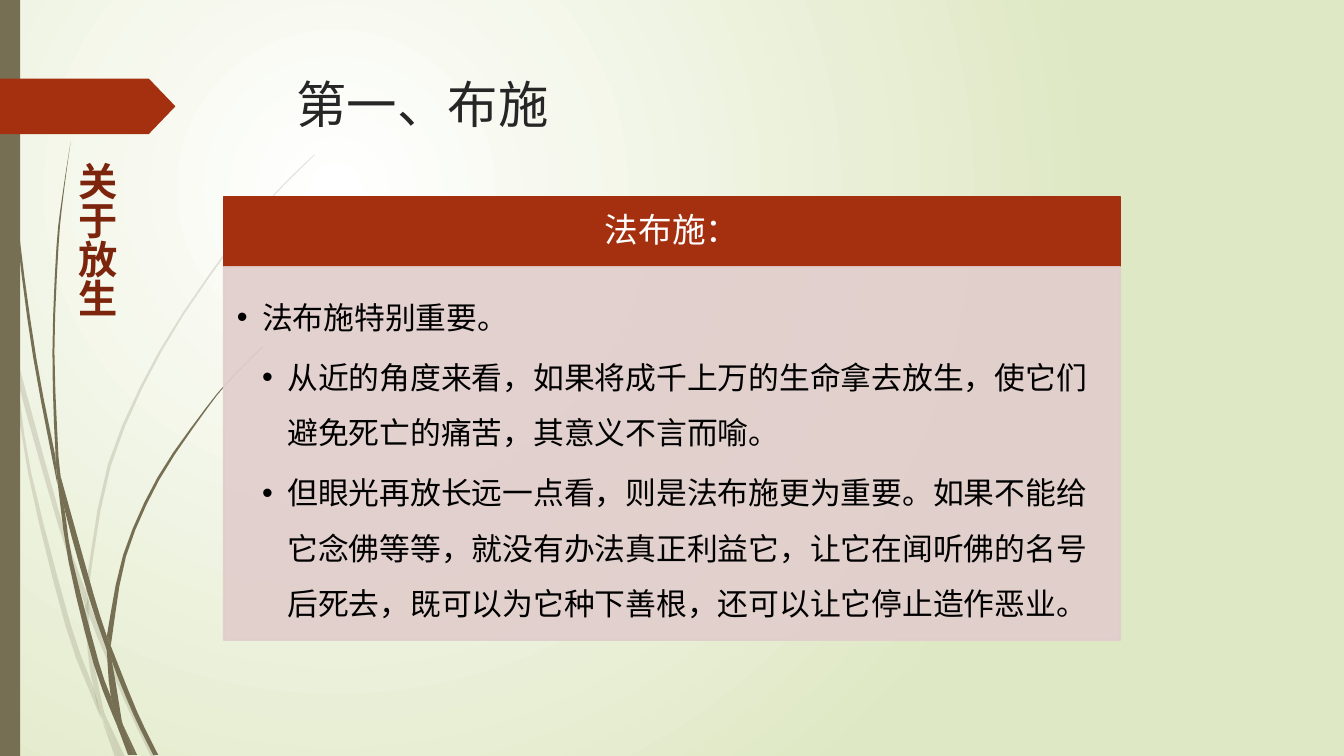
import pptx
import pptx.util
import pptx.dml.color
import pptx.enum.shapes
import pptx.enum.text
import pptx.oxml
import pptx.oxml.ns
from lxml import etree
from pptx.util import Inches

FONT = "League Spartan"
COLORS = {
    "white": "FFFFFF", "black": "000000", "pale_green": "DFE8C4",
    "olive": "766F54", "rust": "A53010", "dark_rust": "7C240C",
    "pink": "E1CDCC", "title": "262626",
}
SHAPES = pptx.enum.shapes.MSO_SHAPE
ALIGN = pptx.enum.text.PP_ALIGN
ANCHOR = pptx.enum.text.MSO_ANCHOR

# Each blade section is an outline: one edge, then the edge that leads back.
FAINT_BLADES = [
    ([(.11, 3.5), (.09, 3.22), (0, 2.82)], [(0, 2.99), (.1, 3.44), (.11, 3.5)]),
    ([(.14, 3.45), (.17, 3.76), (.58, 5.22), (.84, 5.99)], [(.85, 5.86), (.62, 5.2), (.14, 3.45)]),
    ([(.88, 5.96), (.88, 6.1), (1.23, 6.94), (1.5, 7.51)], [(1.55, 7.51), (1.27, 6.92), (.92, 6.07)]),
    ([(1.05, 7.11), (1.19, 7.51)], [(1.24, 7.51), (1.05, 7.11)]),
    ([(.11, 3.5), (.28, 4.7), (.65, 6.21), (.92, 6.93), (1.01, 7.14)],
     [(.99, 7.07), (.93, 6.83), (.7, 6.19), (.31, 4.69), (.17, 3.76), (.11, 3.5)]),
    ([(.84, 5.99), (.87, 6.46), (.93, 6.83), (1.05, 7.11)],
     [(1.03, 7.06), (.91, 6.46), (.88, 6.1), (.84, 5.99)]),
    ([(3.12, 1.53), (2.89, 1.75), (2.68, 1.97), (2.28, 2.44), (1.58, 3.48), (1.07, 4.61), (.85, 5.84)],
     [(.88, 5.96), (.88, 5.84), (1.1, 4.62), (1.6, 3.49), (2.29, 2.45), (2.68, 1.98), (3.12, 1.54)]),
    ([(1.01, 7.14), (1.14, 7.51)], [(1.19, 7.51), (1.01, 7.14)]),
    ([(.85, 5.86), (.84, 5.99), (.88, 6.1)], [(.88, 5.96), (.85, 5.86)]),
    ([(.93, 6.83), (.99, 7.07), (1.19, 7.51)], [(1.05, 7.11), (.96, 6.92), (.93, 6.83)]),
]
DARK_BLADES = [
    ([(.03, 0), (.04, .48), (.07, 1.1), (.17, 2.33), (.33, 3.55), (.57, 4.81)],
     [(.55, 4.53), (.36, 3.55), (.19, 2.32), (.08, 1.09), (.05, .48), (.04, 0)]),
    ([(.6, 4.72), (.64, 5.05), (.88, 5.92), (1.06, 6.45)], [(1.06, 6.31), (.93, 5.9), (.6, 4.72)]),
    ([(1.1, 6.41), (1.11, 6.56), (1.32, 7.08), (1.52, 7.49)], [(1.57, 7.49), (1.36, 7.06), (1.1, 6.41)]),
    ([(.57, 4.77), (.68, 5.57), (.93, 6.59), (1.17, 7.22)],
     [(1.1, 6.91), (.98, 6.57), (.72, 5.56), (.64, 5.05), (.57, 4.77)]),
    ([(.7, 1.41), (.62, 1.93), (.56, 2.45), (.52, 3.49), (.55, 4.49), (.6, 4.72)],
     [(.58, 4.53), (.54, 3.49), (.58, 2.45), (.63, 1.93), (.7, 1.41)]),
    ([(1.22, 7.19), (1.33, 7.49)], [(1.36, 7.49), (1.22, 7.19)]),
    ([(.55, 4.49), (.57, 4.77), (.64, 5.05)], [(.6, 4.72), (.55, 4.49)]),
    ([(2.6, 3.44), (2.31, 3.73), (2.04, 4.05), (1.56, 4.74), (1.22, 5.51), (1.06, 6.31)],
     [(1.1, 6.41), (1.11, 6.33), (1.25, 5.52), (1.58, 4.76), (2.05, 4.06), (2.31, 3.74), (2.61, 3.44)]),
    ([(1.17, 7.22), (1.27, 7.49)], [(1.31, 7.49), (1.17, 7.22)]),
    ([(1.06, 6.45), (1.1, 6.91), (1.22, 7.19)], [(1.21, 7.16), (1.11, 6.56), (1.06, 6.45)]),
    ([(1.06, 6.31), (1.06, 6.45), (1.11, 6.56)], [(1.1, 6.41), (1.06, 6.31)]),
    ([(1.1, 6.91), (1.17, 7.22), (1.3, 7.49)], [(1.33, 7.49), (1.22, 7.19), (1.1, 6.91)]),
]
TEACHINGS = [
    (1, "法布施特别重要。"),
    (2, "从近的角度来看，如果将成千上万的生命拿去放生，使它们避免死亡的痛苦，其意义不言而喻。"),
    (2, "但眼光再放长远一点看，则是法布施更为重要。如果不能给它念佛等等，就没有办法真正利益它，"
        "让它在闻听佛的名号后死去，既可以为它种下善根，还可以让它停止造作恶业。"),
]


def rgb(color):
    return pptx.dml.color.RGBColor.from_string(COLORS[color])


def add_child(parent, tag, **attributes):
    return etree.SubElement(parent, pptx.oxml.ns.qn(tag), attributes)


def paint(shape, fill, line=None, opacity=100):
    shape.shadow.inherit = False
    shape.fill.solid()
    shape.fill.fore_color.rgb = rgb(fill)
    if line:
        shape.line.color.rgb = rgb(line)
        shape.line.width = pptx.util.Pt(1.25)
    else:
        shape.line.fill.background()
    if opacity < 100:
        for color in shape.element.spPr.iter(pptx.oxml.ns.qn("a:srgbClr")):
            add_child(color, "a:alpha", val=str(opacity * 1000))


def add_block(slide, kind, left, top, width, height, fill, **paint_options):
    block = slide.shapes.add_shape(kind, *map(Inches, (left, top, width, height)))
    paint(block, fill, **paint_options)
    return block


def smooth_curve(knots, steps=3):
    """Sample a Catmull-Rom curve through the knots."""
    if len(knots) == 2:
        return knots
    padded = [knots[0], *knots, knots[-1]]
    samples = [knots[0]]
    for a, b, c, d in zip(padded, padded[1:], padded[2:], padded[3:]):
        for t in (step / steps for step in range(1, steps + 1)):
            samples.append(tuple(
                (2 * q + (r - p) * t + (2 * p - 5 * q + 4 * r - s) * t ** 2
                 + (3 * q - p - 3 * r + s) * t ** 3) / 2
                for p, q, r, s in zip(a, b, c, d)))
    return samples


def add_blade(slide, edges, opacity=100):
    outline = [tuple(map(Inches, point)) for edge in edges for point in smooth_curve(edge)]
    builder = slide.shapes.build_freeform(*outline[0])
    builder.add_line_segments(outline[1:], close=True)
    paint(builder.convert_to_shape(), "olive", opacity=opacity)


def write(paragraph, text, size, color, bold=False, align=ALIGN.LEFT,
          spacing=None, after=None, bullet_level=None):
    if bullet_level:
        paragraph.level = bullet_level
        properties = paragraph._p.get_or_add_pPr()
        properties.set("marL", str(Inches(0.25 * bullet_level)))
        properties.set("indent", str(Inches(-0.25)))
        add_child(properties, "a:buFont", typeface="Arial")
        add_child(properties, "a:buChar", char="•")
    paragraph.alignment = align
    if spacing:
        paragraph.line_spacing = spacing
    if after:
        paragraph.space_after = pptx.util.Pt(after)
    run = paragraph.add_run()
    run.text = text
    run.font.name = FONT
    run.font.size = pptx.util.Pt(size)
    run.font.bold = bold
    run.font.color.rgb = rgb(color)
    add_child(run._r.get_or_add_rPr(), "a:ea", typeface=FONT)


def set_frame(frame, anchor, insets):
    frame.word_wrap = True
    frame.vertical_anchor = anchor
    (frame.margin_left, frame.margin_top,
     frame.margin_right, frame.margin_bottom) = map(Inches, insets)


def set_background(slide):
    fill = slide.background.fill
    fill.gradient()
    for stop, color in zip(fill.gradient_stops, ("white", "pale_green")):
        stop.color.rgb = rgb(color)
    linear = next(slide.element.iter(pptx.oxml.ns.qn("a:lin")))
    circle = etree.Element(pptx.oxml.ns.qn("a:path"), {"path": "circle"})
    add_child(circle, "a:fillToRect", l="50000", t="50000", r="100000", b="100000")
    linear.getparent().replace(linear, circle)


def add_decoration(slide):
    for blades, opacity in ((FAINT_BLADES, 20), (DARK_BLADES, 100)):
        for blade in blades:
            add_blade(slide, blade, opacity)
    add_block(slide, SHAPES.RECTANGLE, 0, 0, 0.2, 7.5, "olive")
    pointer = add_block(slide, SHAPES.PENTAGON, 0, 0.78, 1.74, 0.55, "rust")
    pointer.adjustments[0] = 0.48


def set_title(slide, text):
    title = slide.shapes.title
    title.left, title.top, title.width, title.height = map(Inches, (2.84, 0.68, 9.75, 1.4))
    set_frame(title.text_frame, ANCHOR.TOP, (0.1, 0.05, 0.1, 0.05))
    write(title.text_frame.paragraphs[0], text, 36, "title")


def add_teaching_panel(slide):
    left, width = 2.22, 8.89
    heading = add_block(slide, SHAPES.RECTANGLE, left, 1.95, width, 0.69, "rust", line="rust")
    set_frame(heading.text_frame, ANCHOR.MIDDLE, (0.19, 0.11, 0.19, 0.11))
    write(heading.text_frame.paragraphs[0], "法布施：", 24, "white", align=ALIGN.CENTER, spacing=0.9)

    body = add_block(slide, SHAPES.RECTANGLE, left, 2.65, width, 3.7, "pink", line="pink", opacity=90)
    frame = body.text_frame
    set_frame(frame, ANCHOR.TOP, (0.13, 0.13, 0.17, 0.19))
    for index, (level, teaching) in enumerate(TEACHINGS):
        paragraph = frame.add_paragraph() if index else frame.paragraphs[0]
        write(paragraph, teaching, 22, "black", spacing=1.5, after=3.3, bullet_level=level)


def add_vertical_label(slide, text):
    label = slide.shapes.add_textbox(*map(Inches, (0.57, 1.51, 0.67, 1.65)))
    frame = label.text_frame
    frame.word_wrap = False
    frame.auto_size = pptx.enum.text.MSO_AUTO_SIZE.SHAPE_TO_FIT_TEXT
    frame._txBody.bodyPr.set("vert", "eaVert")
    write(frame.paragraphs[0], text, 28, "dark_rust", bold=True)


def main():
    deck = pptx.Presentation()
    deck.slide_width, deck.slide_height = Inches(13.33), Inches(7.5)
    slide = deck.slides.add_slide(deck.slide_layouts[5])
    set_background(slide)
    add_decoration(slide)
    set_title(slide, "第一、布施")
    add_teaching_panel(slide)
    add_vertical_label(slide, "关于放生")
    deck.save("out.pptx")


if __name__ == "__main__":
    main()
